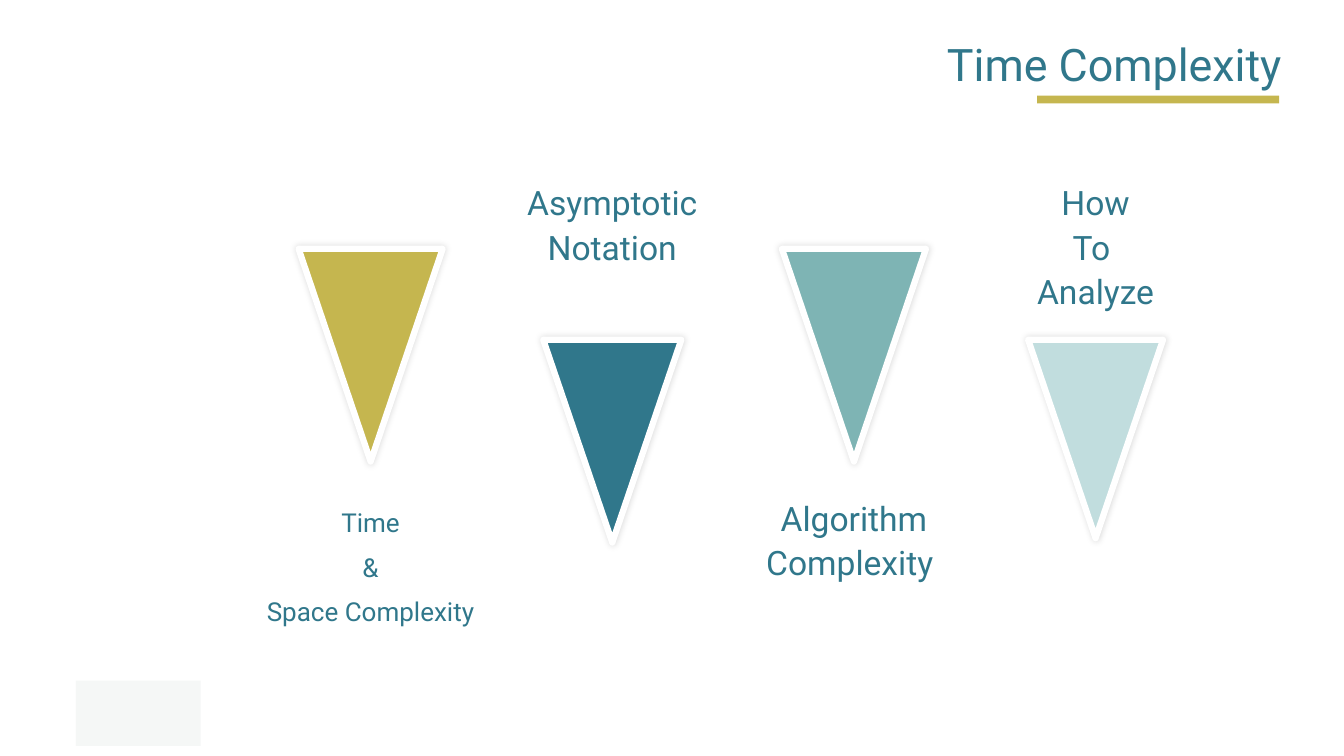
from lxml import etree
from pptx import Presentation
from pptx.dml.color import RGBColor
from pptx.enum import shapes, text
from pptx.oxml.ns import qn
from pptx.util import Cm, Pt

# Content: label lines, font size, colour, triangle width and height (cm), label above?
TITLE = "Time Complexity"
TOPICS = [
    (["Time", "&", "Space Complexity"], 18.6, "C5B64F", 3.63, 5.36, False),
    (["Asymptotic", "Notation"], 24, "30778B", 3.48, 5.11, True),
    (["Algorithm", "Complexity "], 24, "7EB4B4", 3.63, 5.36, False),
    (["How", "To ", "Analyze"], 24, "C1DDDE", 3.4, 5, True),
]
FONT, TEAL, GOLD, PALE, WHITE = "Roboto", "30778B", "C5B64F", "F5F7F6", "FFFFFF"

# Layout in cm
FIRST_CENTRE, STEP = 9.34, 6.09
LABEL_W, LABEL_H = 6.86, 3.35


def rgb(value):
    return RGBColor.from_string(value)


def add_filled(kind, left, top, width, height, colour):
    sp = slide.shapes.add_shape(kind, Cm(left), Cm(top), Cm(width), Cm(height))
    sp.shadow.inherit = False
    sp.fill.solid()
    sp.fill.fore_color.rgb = rgb(colour)
    sp.line.fill.background()
    return sp


def add_soft_shadow(sp):
    effects = sp._element.spPr.find(qn("a:effectLst"))
    shadow = etree.SubElement(effects, qn("a:outerShdw"), blurRad=str(Pt(5)),
                              dist="0", dir="0", algn="ctr", rotWithShape="0")
    colour = etree.SubElement(shadow, qn("a:srgbClr"), val="000000")
    etree.SubElement(colour, qn("a:alpha"), val="15000")


def format_text(p, size, align):
    p.alignment = align
    for r in p.runs:
        r.font.name = FONT
        r.font.size = Pt(size)
        r.font.color.rgb = rgb(TEAL)


def add_label(lines, size, left, top):
    tf = slide.shapes.add_textbox(Cm(left), Cm(top), Cm(LABEL_W), Cm(LABEL_H)).text_frame
    tf.word_wrap = True
    tf.text = "\n".join(lines)
    for p in tf.paragraphs:
        format_text(p, size, text.PP_ALIGN.CENTER)
        p.line_spacing = Pt(21.6)
        p.space_before = Pt(10)


prs = Presentation()
prs.slide_width, prs.slide_height = Cm(33.87), Cm(19.05)
slide = prs.slides.add_slide(prs.slide_layouts[5])

# Title with its underline
title = slide.shapes.title
title.left, title.top, title.width, title.height = Cm(15.82), Cm(0.79), Cm(16.74), Cm(1.63)
tf = title.text_frame
tf.text = TITLE
tf.word_wrap = True
tf.auto_size = text.MSO_AUTO_SIZE.SHAPE_TO_FIT_TEXT
tf.vertical_anchor = text.MSO_ANCHOR.TOP
format_text(tf.paragraphs[0], 32, text.PP_ALIGN.RIGHT)
add_filled(shapes.MSO_SHAPE.RECTANGLE, 26.14, 2.41, 6.1, 0.2, GOLD)

# Downward triangles, alternating with labels below and above
for i, (lines, size, colour, width, height, above) in enumerate(TOPICS):
    centre = FIRST_CENTRE + i * STEP
    triangle_top, label_top = (8.56, 4.72) if above else (6.27, 12.67)
    triangle = add_filled(shapes.MSO_SHAPE.ISOSCELES_TRIANGLE, centre - width / 2,
                          triangle_top, width, height, colour)
    triangle.rotation = 180
    triangle.line.color.rgb = rgb(WHITE)
    triangle.line.width = Pt(4.5)
    add_soft_shadow(triangle)
    add_label(lines, size, centre - LABEL_W / 2, label_top)

# Footer block
add_filled(shapes.MSO_SHAPE.RECTANGLE, 1.91, 17.15, 3.15, 1.65, PALE)

prs.save("out.pptx")
